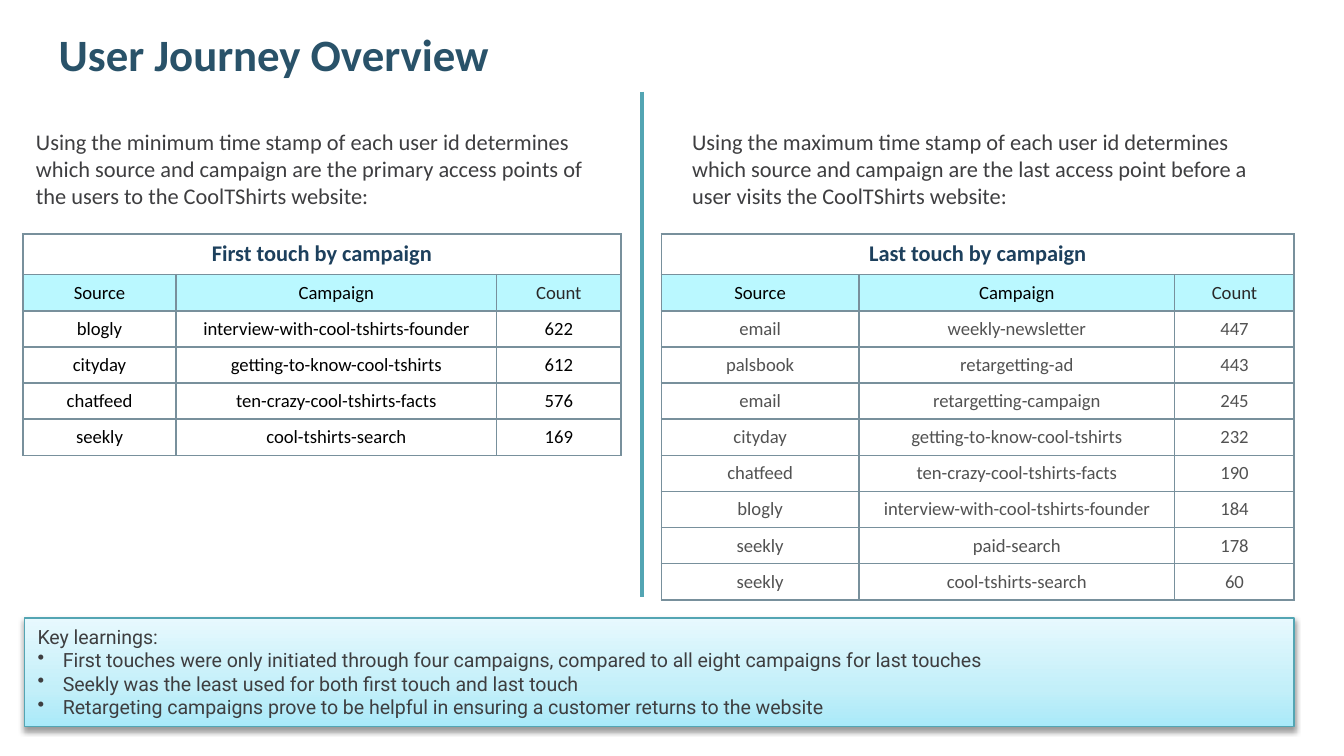
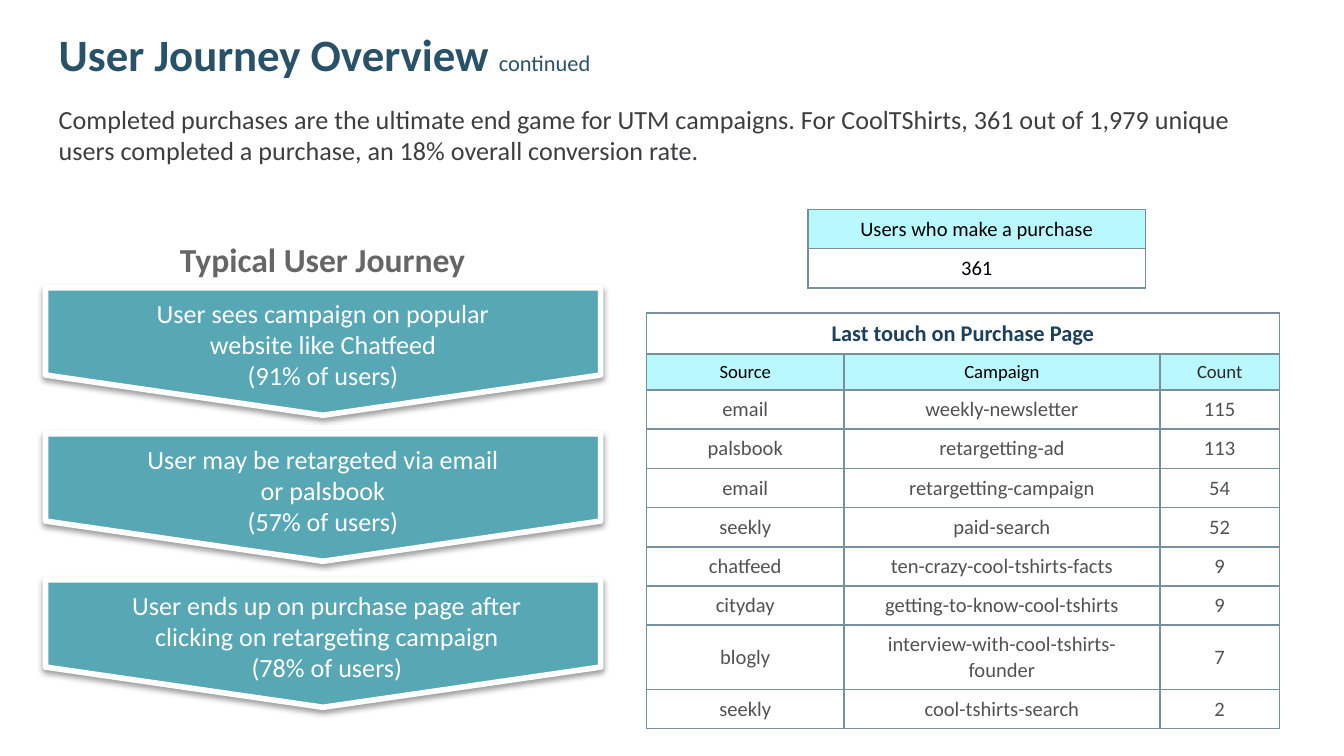
from lxml.etree import SubElement
from pptx import Presentation
from pptx.dml.color import RGBColor
from pptx.enum.shapes import MSO_CONNECTOR as Connector, MSO_SHAPE as Shape
from pptx.enum.text import MSO_ANCHOR as Anchor, MSO_AUTO_SIZE as AutoSize, PP_ALIGN as Align
from pptx.oxml import parse_xml
from pptx.oxml.ns import nsdecls, qn
from pptx.util import Cm, Pt

NAVY = RGBColor(0x29, 0x52, 0x69)
TABLE_NAVY = RGBColor(0x1D, 0x40, 0x5D)
INK = RGBColor(0x3E, 0x3E, 0x40)
CHARCOAL = RGBColor(0x29, 0x29, 0x29)
GREY = RGBColor(0x52, 0x52, 0x52)
HEADING_GREY = RGBColor(0x66, 0x66, 0x66)
BLACK = RGBColor(0, 0, 0)
WHITE = RGBColor(0xFF, 0xFF, 0xFF)
AQUA = RGBColor(0xBA, 0xF8, 0xFF)
BORDER = RGBColor(0x78, 0x90, 0x9C)
TEAL = RGBColor(0x53, 0xA5, 0xB3)
STEP_TEAL = RGBColor(0x57, 0xA7, 0xB5)
GRADIENT = (
    (0, RGBColor(0xA9, 0xE9, 0xF9)),
    (35, RGBColor(0xC3, 0xEF, 0xF9)),
    (100, RGBColor(0xE7, 0xF9, 0xFE)),
)

FONT = "Calibri"
TABLE_TOP = 4.42
LAST_TOUCH_COLUMNS = (3.73, 5.97, 2.26)
STEP_PITCH = 2.76

FIRST_TOUCHES = (
    ("blogly", "interview-with-cool-tshirts-founder", 622),
    ("cityday", "getting-to-know-cool-tshirts", 612),
    ("chatfeed", "ten-crazy-cool-tshirts-facts", 576),
    ("seekly", "cool-tshirts-search", 169),
)
LAST_TOUCHES = (
    ("email", "weekly-newsletter", 447),
    ("palsbook", "retargetting-ad", 443),
    ("email", "retargetting-campaign", 245),
    ("cityday", "getting-to-know-cool-tshirts", 232),
    ("chatfeed", "ten-crazy-cool-tshirts-facts", 190),
    ("blogly", "interview-with-cool-tshirts-founder", 184),
    ("seekly", "paid-search", 178),
    ("seekly", "cool-tshirts-search", 60),
)
PURCHASE_TOUCHES = (
    ("email", "weekly-newsletter", 115),
    ("palsbook", "retargetting-ad", 113),
    ("email", "retargetting-campaign", 54),
    ("seekly", "paid-search", 52),
    ("chatfeed", "ten-crazy-cool-tshirts-facts", 9),
    ("cityday", "getting-to-know-cool-tshirts", 9),
    ("blogly", "interview-with-cool-tshirts-founder", 7),
    ("seekly", "cool-tshirts-search", 2),
)
LEARNINGS = (
    "First touches were only initiated through four campaigns, "
    "compared to all eight campaigns for last touches",
    "Seekly was the least used for both first touch and last touch",
    "Retargeting campaigns prove to be helpful in ensuring a customer returns to the website",
)
STEPS = (
    (2.51, 7.19, "User sees campaign on popular website like Chatfeed", "(91% of users)"),
    (2.51, 7.19, "User may be retargeted via email or palsbook", "(57% of users)"),
    (1.9, 8.56, "User ends up on purchase page after clicking on retargeting campaign",
     "(78% of users)"),
)


def place(shape, left, top, width, height):
    """Move and size a shape in centimetres."""
    shape.left, shape.top = Cm(left), Cm(top)
    shape.width, shape.height = Cm(width), Cm(height)


def style(para, size, color, bold=False, align=Align.LEFT, font=FONT):
    """Format one paragraph."""
    para.alignment = align
    para.space_before = Pt(0)
    para.font.name = font
    para.font.size = Pt(size)
    para.font.bold = bold
    para.font.color.rgb = color


def set_bullet(para, char=None):
    """Give a paragraph a hanging bullet, or none at all."""
    props = para._p.get_or_add_pPr()
    indent = Cm(0.48) if char else 0
    props.set("marL", str(indent))
    props.set("indent", str(-indent))
    if char:
        SubElement(props, qn("a:buChar")).set("char", char)
    else:
        SubElement(props, qn("a:buNone"))


def prepare_placeholder(holder, bounds, anchor):
    """Place a placeholder and give it the deck's even insets."""
    place(holder, *bounds)
    frame = holder.text_frame
    frame.auto_size = AutoSize.NONE
    frame.word_wrap = True
    frame.vertical_anchor = anchor
    frame.margin_left = frame.margin_right = Cm(0.25)
    frame.margin_top = frame.margin_bottom = Cm(0.25)
    return frame.paragraphs[0]


def add_title(page, suffix=""):
    """Fill the slide title, with an optional small suffix."""
    para = prepare_placeholder(page.shapes.title, (0.86, 0.3, 23.67, 1.47), Anchor.BOTTOM)
    para.add_run().text = "User Journey Overview"
    style(para, 24, NAVY, bold=True)
    if suffix:
        para.runs[0].text += " "
        span = para.add_run()
        span.text = suffix
        span.font.size = Pt(12)
        span.font.bold = False


def add_body(page, index, bounds, text, size):
    """Fill a body placeholder with one plain paragraph."""
    para = prepare_placeholder(page.placeholders[index], bounds, Anchor.TOP)
    para.text = text
    set_bullet(para)
    style(para, size, INK)


def add_text(page, bounds, lines, size, color, bold=False, align=Align.LEFT):
    """Add a text box with one paragraph per line."""
    box = page.shapes.add_textbox(*map(Cm, bounds))
    frame = box.text_frame
    frame.word_wrap = True
    frame.auto_size = AutoSize.SHAPE_TO_FIT_TEXT
    frame.text = "\n".join(lines)
    for para in frame.paragraphs:
        style(para, size, color, bold, align)


def fill_cell(cell, text, size, color, fill=WHITE, bold=False):
    """Write, border and fill one table cell."""
    props = cell._tc.get_or_add_tcPr()
    for side in "LRTB":
        props.append(parse_xml(
            f'<a:ln{side} {nsdecls("a")} w="{Pt(1)}"><a:solidFill>'
            f'<a:srgbClr val="{BORDER}"/></a:solidFill></a:ln{side}>'))
    cell.fill.solid()
    cell.fill.fore_color.rgb = fill
    cell.vertical_anchor = Anchor.MIDDLE
    cell.text = str(text)
    style(cell.text_frame.paragraphs[0], size, color, bold, Align.CENTER)


def add_grid(page, left, top, widths, heights):
    """Add an unstyled table with the given column widths and row heights."""
    frame = page.shapes.add_table(
        len(heights), len(widths), Cm(left), Cm(top), Cm(sum(widths)), Cm(sum(heights)))
    table = frame.table
    table.first_row = table.horz_banding = False
    for column, width in zip(table.columns, widths):
        column.width = Cm(width)
    for row, height in zip(table.rows, heights):
        row.height = Cm(height)
    return table


def add_touch_table(page, left, top, widths, title, touches, color, size=10, heights=None):
    """Add a titled table of sources, campaigns and counts."""
    heights = heights or [0.68] * len(touches)
    table = add_grid(page, left, top, widths, [0.77, 0.68, *heights])
    for column, text in enumerate((title, "", "")):
        fill_cell(table.cell(0, column), text, 12, TABLE_NAVY, bold=True)
    table.cell(0, 0).merge(table.cell(0, 2))
    headers = (("Source", BLACK), ("Campaign", BLACK), ("Count", CHARCOAL))
    for column, (text, header_color) in enumerate(headers):
        fill_cell(table.cell(1, column), text, 10, header_color, AQUA)
    for row, touch in enumerate(touches, 2):
        for column, value in enumerate(touch):
            fill_cell(table.cell(row, column), value, size, color)


def add_shadow(shape):
    """Give a shape a soft shadow falling straight down."""
    shape.shadow.inherit = False
    effects = shape._element.spPr.find(qn("a:effectLst"))
    effects.append(parse_xml(
        f'<a:outerShdw {nsdecls("a")} blurRad="{Pt(3.1)}" dist="{Pt(1.6)}" dir="5400000" '
        'rotWithShape="0"><a:srgbClr val="000000"><a:alpha val="38000"/></a:srgbClr>'
        '</a:outerShdw>'))


def add_learnings(page):
    """Add the gradient panel of key learnings."""
    panel = page.shapes.add_shape(Shape.RECTANGLE, Cm(0.46), Cm(11.68), Cm(24), Cm(2.06))
    stops = "".join(
        f'<a:gs pos="{position * 1000}"><a:srgbClr val="{color}"/></a:gs>'
        for position, color in GRADIENT)
    panel._element.spPr.find(qn("a:prstGeom")).addnext(parse_xml(
        f'<a:gradFill {nsdecls("a")} rotWithShape="1"><a:gsLst>{stops}</a:gsLst>'
        '<a:lin ang="16200000" scaled="0"/></a:gradFill>'))
    panel.line.color.rgb = TEAL
    panel.line.width = Pt(0.75)
    add_shadow(panel)
    frame = panel.text_frame
    frame.word_wrap = True
    frame.auto_size = AutoSize.SHAPE_TO_FIT_TEXT
    frame.vertical_anchor = Anchor.TOP
    frame.text = "\n".join(("Key learnings:", *LEARNINGS))
    for para in frame.paragraphs[1:]:
        set_bullet(para, "•")
    for para in frame.paragraphs:
        style(para, 10.5, INK, font="Roboto")


def add_divider(page):
    """Add the vertical line between the two halves."""
    line = page.shapes.add_connector(
        Connector.STRAIGHT, Cm(12.14), Cm(1.73), Cm(12.14), Cm(11.28))
    line.line.color.rgb = TEAL
    line.line.width = Pt(2.25)
    SubElement(line._element.spPr, qn("a:effectLst"))


def add_step_arrow(page, top):
    """Add one downward pentagon of the journey."""
    arrow = page.shapes.add_shape(Shape.PENTAGON, Cm(4.9), Cm(top), Cm(2.41), Cm(10.49))
    arrow.rotation = 90
    arrow.adjustments[0] = 0.315
    arrow.fill.solid()
    arrow.fill.fore_color.rgb = STEP_TEAL
    arrow.line.color.rgb = WHITE
    arrow.line.width = Pt(3)
    add_shadow(arrow)


def build_touch_slide(deck):
    """Build the comparison of first and last touches."""
    page = deck.slides.add_slide(deck.slide_layouts[3])
    add_title(page)
    add_body(page, 1, (0.43, 2.18, 11.3, 1.45),
             "Using the minimum time stamp of each user id determines which source and campaign "
             "are the primary access points of the users to the CoolTShirts website:", 12)
    add_body(page, 2, (12.83, 2.18, 11.71, 1.45),
             "Using the maximum time stamp of each user id determines which source and campaign "
             "are the last access point before a user visits the CoolTShirts website:", 12)
    add_touch_table(page, 0.43, TABLE_TOP, (2.9, 6.05, 2.36),
                    "First touch by campaign", FIRST_TOUCHES, BLACK)
    add_touch_table(page, 12.5, TABLE_TOP, LAST_TOUCH_COLUMNS,
                    "Last touch by campaign", LAST_TOUCHES, GREY)
    add_learnings(page)
    add_divider(page)


def build_purchase_slide(deck):
    """Build the purchase figures and the typical journey."""
    page = deck.slides.add_slide(deck.slide_layouts[1])
    add_title(page, "continued")
    add_body(page, 1, (0.86, 1.7, 23.55, 1.45),
             "Completed purchases are the ultimate end game for UTM campaigns. For CoolTShirts, "
             "361 out of 1,979 unique users completed a purchase, an 18% overall conversion rate.",
             14)
    buyers = add_grid(page, 15.27, 3.96, [6.38], [0.74, 0.74])
    fill_cell(buyers.cell(0, 0), "Users who make a purchase", 11, BLACK, AQUA)
    fill_cell(buyers.cell(1, 0), 361, 11, BLACK)
    add_touch_table(page, 12.22, 5.92, LAST_TOUCH_COLUMNS, "Last touch on Purchase Page",
                    PURCHASE_TOUCHES, GREY, 11, [0.74] * 6 + [1.22, 0.74])
    add_text(page, (3.15, 4.39, 6.05, 1.02), ["Typical User Journey"], 18, HEADING_GREY, bold=True)
    for number, (left, width, *lines) in enumerate(STEPS):
        offset = number * STEP_PITCH
        add_step_arrow(page, 1.4 + offset)
        add_text(page, (left, 5.49 + offset, width, 2.06), lines, 14, WHITE, align=Align.CENTER)


def main():
    """Build and save the deck."""
    deck = Presentation()
    deck.slide_width, deck.slide_height = Cm(25.4), Cm(14.29)
    build_touch_slide(deck)
    build_purchase_slide(deck)
    deck.save("out.pptx")


if __name__ == "__main__":
    main()
